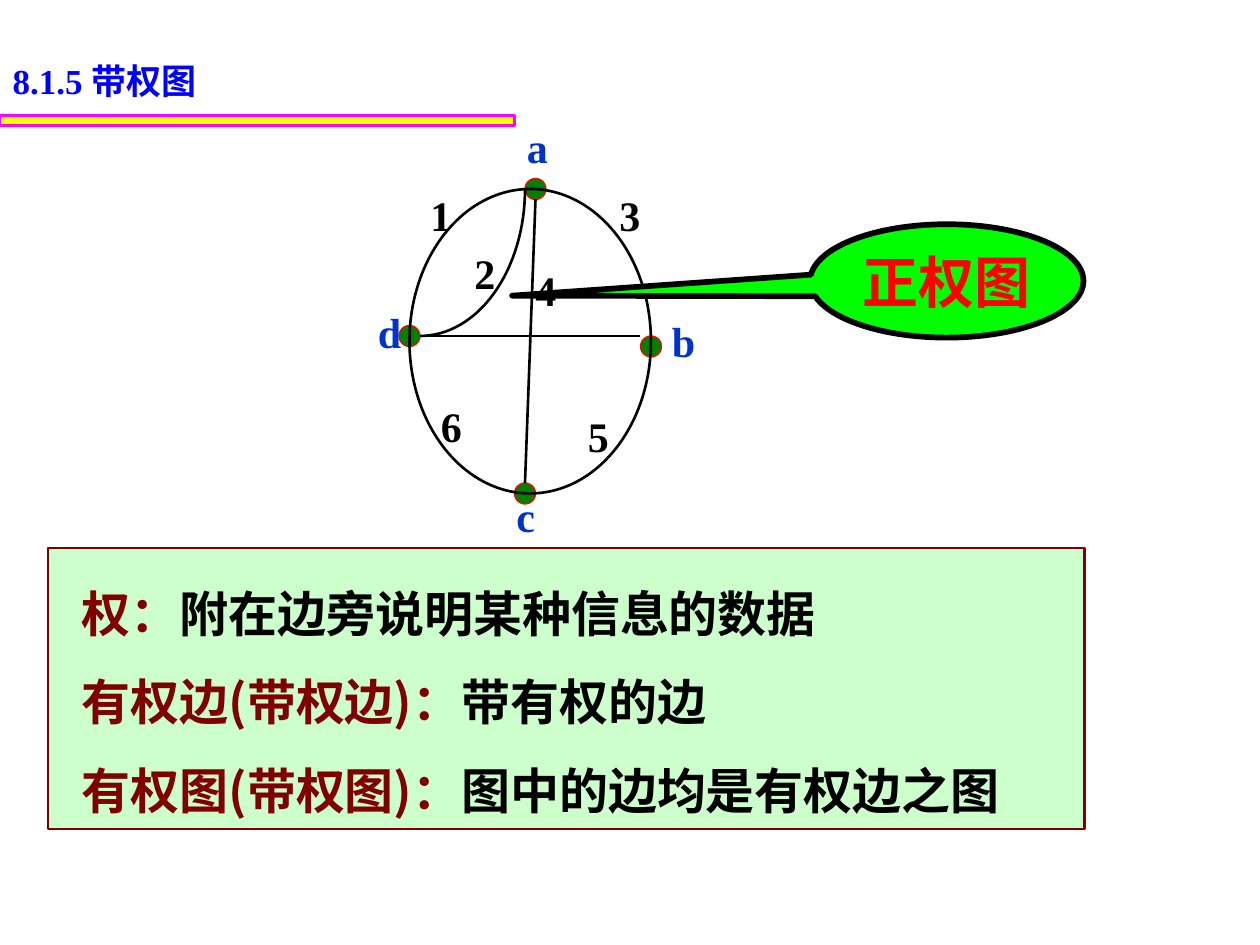
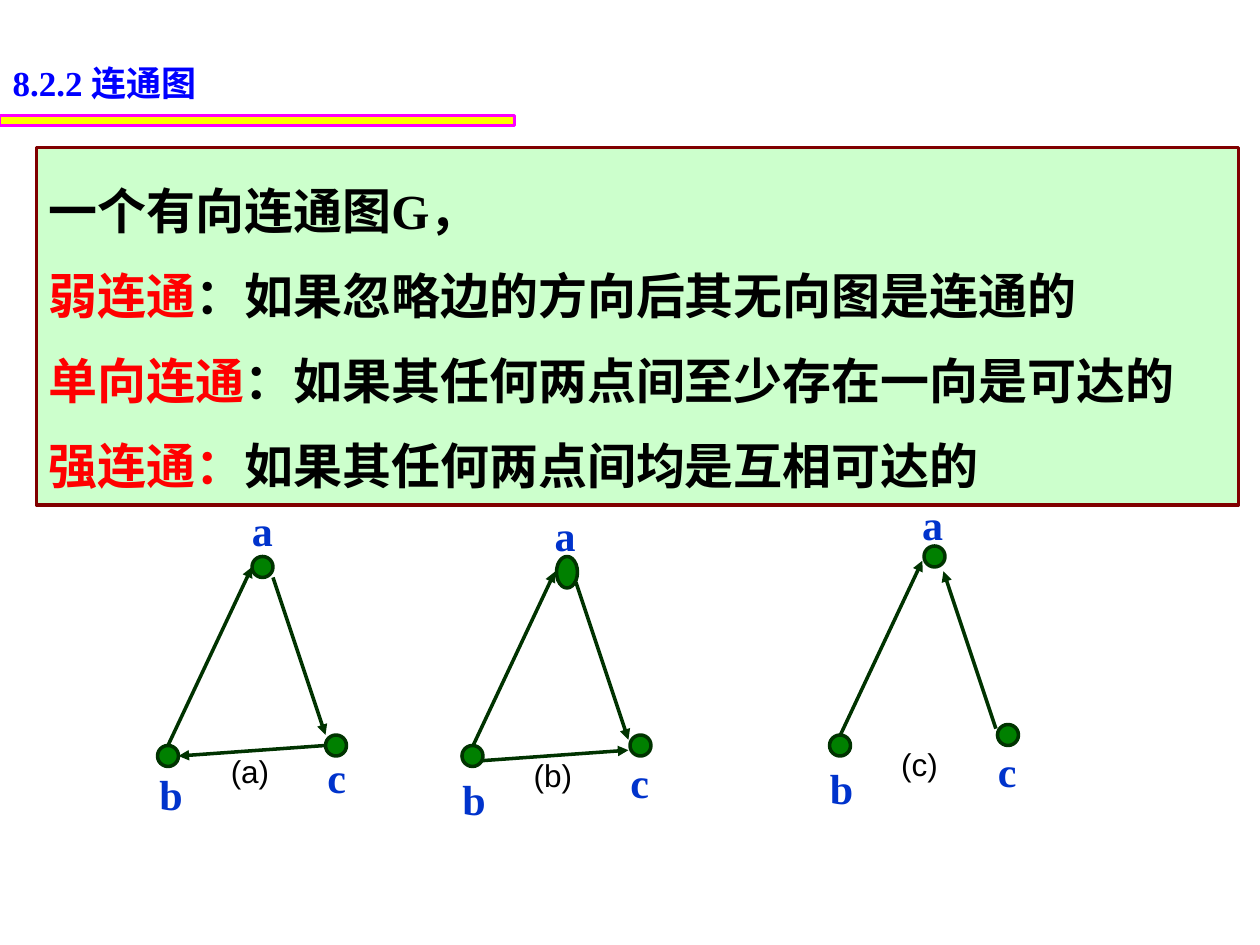
import math
from typing import Any, NamedTuple

from lxml import etree
from pptx import Presentation
from pptx import util as u
from pptx.dml.color import RGBColor
from pptx.enum import shapes, text
from pptx.oxml.ns import qn

COLUMNS, ROWS = 120, 90
WIDTH, HEIGHT = u.Inches(10), u.Inches(7.5)
ROMAN, SANS, CHINESE = "Times New Roman", "Arial", "Noto Sans CJK SC"
BLACK, RED, MAROON, GREEN = "000000", "FF0000", "800000", "008000"
TITLE_BLUE, LABEL_BLUE, DARK_GREEN, PALE_GREEN = "0000FF", "0033CC", "003300", "CCFFCC"
KINDS = shapes.MSO_SHAPE
FRAME = {
    "margin_left": u.Inches(0.1), "margin_right": u.Inches(0.1),
    "margin_top": u.Inches(0.05), "margin_bottom": u.Inches(0.05),
    "auto_size": text.MSO_AUTO_SIZE.NONE, "vertical_anchor": text.MSO_ANCHOR.TOP,
    "word_wrap": True,
}


class Area(NamedTuple):
    column: float
    row: float
    columns: float
    rows: float


class Point(NamedTuple):
    column: float
    row: float


class Edge(NamedTuple):
    start: Point
    end: Point


class Pen(NamedTuple):
    color: str
    points: float


class Run(NamedTuple):
    words: str
    color: str
    font: str = CHINESE
    size: float = 28
    bold: bool = True


class Label(NamedTuple):
    words: str
    column: float
    row: float


class Digraph(NamedTuple):
    caption: str
    node_shift: Point
    label_shift: Point
    edges: list[Edge]
    top_node_rows: float = 2


def across(columns: float) -> int:
    return round(WIDTH * columns / COLUMNS)


def down(rows: float) -> int:
    return round(HEIGHT * rows / ROWS)


def place(area: Area) -> tuple[int, int, int, int]:
    return across(area.column), down(area.row), across(area.columns), down(area.rows)


def color_of(hex_string: str) -> RGBColor:
    return RGBColor.from_string(hex_string)


def assign(target: Any, values: dict[str, Any]) -> None:
    for name, value in values.items():
        setattr(target, name, value)


def draw_line(line: Any, pen: Pen) -> None:
    line.color.rgb = color_of(pen.color)
    line.width = u.Pt(pen.points)


def write(shape: Any, paragraphs: list[list[Run]], spacing: float | None = None,
          align: Any = text.PP_ALIGN.LEFT, **frame_values: Any) -> None:
    frame = shape.text_frame
    assign(frame, FRAME | frame_values)
    for index, runs in enumerate(paragraphs):
        paragraph = frame.add_paragraph() if index else frame.paragraphs[0]
        paragraph.alignment = align
        if spacing:
            paragraph.line_spacing = spacing
        for item in runs:
            run = paragraph.add_run()
            run.text = item.words
            assign(run.font, {"name": item.font, "size": u.Pt(item.size), "bold": item.bold})
            run.font.color.rgb = color_of(item.color)
            east_asian = etree.SubElement(run.font._element, qn("a:ea"))
            east_asian.set("typeface", CHINESE)


def add_figure(parent: Any, kind: Any, area: Area, pen: Pen, fill: str | None = None) -> Any:
    shape = parent.add_shape(kind, *place(area))
    shape.shadow.inherit = False
    if fill:
        shape.fill.solid()
        shape.fill.fore_color.rgb = color_of(fill)
    else:
        shape.fill.background()
    draw_line(shape.line, pen)
    return shape


def add_label(parent: Any, label: Label, color: str) -> None:
    box = parent.add_textbox(*place(Area(label.column, label.row, 4.4, 6)))
    write(box, [[Run(label.words, color, ROMAN, 24)]], word_wrap=False)


def add_edge(parent: Any, edge: Edge, pen: Pen, arrow: bool = False) -> None:
    start, end = edge
    connector = parent.add_connector(
        shapes.MSO_CONNECTOR.STRAIGHT,
        across(start.column), down(start.row), across(end.column), down(end.row))
    draw_line(connector.line, pen)
    properties = connector.element.spPr
    if arrow:
        etree.SubElement(properties.find(qn("a:ln")), qn("a:tailEnd")).set("type", "triangle")
    etree.SubElement(properties, qn("a:effectLst"))


def add_quarter_curve(parent: Any, area: Area, pen: Pen, steps: int = 32) -> None:
    angles = [math.pi / 2 * step / steps for step in range(steps + 1)]
    points = [(across(area.column + area.columns * math.sin(angle)),
               down(area.row + area.rows * math.cos(angle))) for angle in angles]
    builder = parent.build_freeform(*points[0])
    builder.add_line_segments(points[1:], close=False)
    curve = builder.convert_to_shape()
    curve.shadow.inherit = False
    curve.fill.background()
    draw_line(curve.line, pen)


def add_titled_slide(presentation: Any, number: str, name: str, area: Area) -> Any:
    slide = presentation.slides.add_slide(presentation.slide_layouts[5])
    title = slide.shapes.title
    assign(title, dict(zip(("left", "top", "width", "height"), place(area))))
    write(title, [[Run(number + " ", TITLE_BLUE, ROMAN, 20), Run(name, TITLE_BLUE, SANS, 20)]])
    add_figure(slide.shapes, KINDS.RECTANGLE, Area(0, 11, 49, 1), Pen("FF00FF", 1.75), "FFFF00")
    return slide


def build_weighted_graph(presentation: Any) -> None:
    slide = add_titled_slide(presentation, "8.1.5", "带权图", Area(0, 5.04, 52, 5.2))
    canvas = slide.shapes
    pen = Pen(BLACK, 1.5)
    for node in (Point(61, 32), Point(38, 31), Point(50, 17), Point(49, 46)):
        add_figure(canvas, KINDS.OVAL, Area(*node, 2, 2), Pen(RED, 0.75), GREEN)
    add_figure(canvas, KINDS.OVAL, Area(39, 18, 23, 29), pen)
    add_quarter_curve(canvas, Area(40, 18, 10, 14), pen)
    for edge in (Edge(Point(40, 32), Point(61, 32)), Edge(Point(51, 19), Point(50, 46))):
        add_edge(canvas, edge, pen)

    node_labels = [Label("a", 49, 11), Label("b", 62.8, 29.5),
                   Label("c", 48, 46.1), Label("d", 34.8, 28.6)]
    weights = [Label("1", 39.8, 17.5), Label("2", 44, 23), Label("6", 40.8, 37.6),
               Label("5", 54.8, 38.5), Label("4", 49.8, 24.6), Label("3", 57.8, 17.5)]
    for labels, color in ((node_labels, LABEL_BLUE), (weights, BLACK)):
        for label in labels:
            add_label(canvas, label, color)

    definitions = [("权：", "附在边旁说明某种信息的数据"),
                   ("有权边(带权边)：", "带有权的边"),
                   ("有权图(带权图)：", "图中的边均是有权边之图")]
    panel = add_figure(canvas, KINDS.RECTANGLE, Area(4.56, 52.2, 98.76, 26.76),
                       Pen(MAROON, 1.5), PALE_GREEN)
    write(panel, [[Run(term, MAROON), Run(meaning, BLACK)] for term, meaning in definitions],
          spacing=1.5, margin_left=u.Inches(0.27))

    callout = add_figure(canvas, KINDS.OVAL_CALLOUT, Area(77.16, 21.36, 26.04, 10.8),
                         Pen(BLACK, 3.25), "00FF00")
    callout.adjustments[0], callout.adjustments[1] = -1.59, 0.13
    write(callout, [[Run("正权图", RED, size=32)]], align=text.PP_ALIGN.CENTER,
          vertical_anchor=text.MSO_ANCHOR.MIDDLE, word_wrap=False)


def add_digraph(slide: Any, graph: Digraph) -> None:
    group = slide.shapes.add_group_shape().shapes
    pen = Pen(DARK_GREEN, 2)

    def shifted(point: Point) -> Point:
        return Point(point.column + graph.label_shift.column, point.row + graph.label_shift.row)

    for name, position in (("a", Point(22.8, 47.5)), ("b", Point(14, 72.6)), ("c", Point(30, 71))):
        add_label(group, Label(name, *shifted(position)), LABEL_BLUE)
    for start, end in graph.edges:
        add_edge(group, Edge(shifted(start), shifted(end)), pen, arrow=True)
    caption = group.add_textbox(*place(Area(*shifted(Point(20.8, 71)), 6, 4.8)))
    write(caption, [[Run(graph.caption, BLACK, SANS, 18, False)]], word_wrap=False)
    nodes = [Area(24, 53, 2, graph.top_node_rows), Area(15, 71, 2, 2), Area(31, 70, 2, 2)]
    for node in nodes:
        area = node._replace(column=node.column + graph.node_shift.column,
                             row=node.row + graph.node_shift.row)
        add_figure(group, KINDS.OVAL, area, pen, GREEN)


def build_connectivity(presentation: Any) -> None:
    slide = add_titled_slide(presentation, "8.2.2", "连通图", Area(0, 5.28, 42.24, 5.2))
    panel = add_figure(slide.shapes, KINDS.RECTANGLE, Area(3.48, 14.04, 114.48, 34.08),
                       Pen(MAROON, 2), PALE_GREEN)
    opening = [Run("一个有向连通图", BLACK), Run("G", BLACK, ROMAN), Run("，", BLACK)]
    definitions = [("弱连通", "：如果忽略边的方向后其无向图是连通的"),
                   ("单向连通", "：如果其任何两点间至少存在一向是可达的"),
                   ("强连通：", "如果其任何两点间均是互相可达的")]
    write(panel, [opening] + [[Run(term, RED), Run(meaning, BLACK)]
                              for term, meaning in definitions], spacing=1.45)

    b_to_a = Edge(Point(16, 71), Point(24, 54))
    c_to_b = Edge(Point(31, 71), Point(17, 72))
    a_to_c = Edge(Point(26, 55), Point(31, 70))
    b_to_c, c_to_a = Edge(*reversed(c_to_b)), Edge(*reversed(a_to_c))
    for graph in (
        Digraph("(a)", Point(0, 0), Point(0, 0), [b_to_a, c_to_b, a_to_c]),
        Digraph("(b)", Point(29, 0), Point(28.85, 0.45), [b_to_a, b_to_c, a_to_c], 3),
        Digraph("(c)", Point(64, -1), Point(63.85, -0.6), [b_to_a, c_to_a]),
    ):
        add_digraph(slide, graph)


def main() -> None:
    presentation = Presentation()
    assign(presentation, {"slide_width": WIDTH, "slide_height": HEIGHT})
    build_weighted_graph(presentation)
    build_connectivity(presentation)
    presentation.save("out.pptx")


if __name__ == "__main__":
    main()
